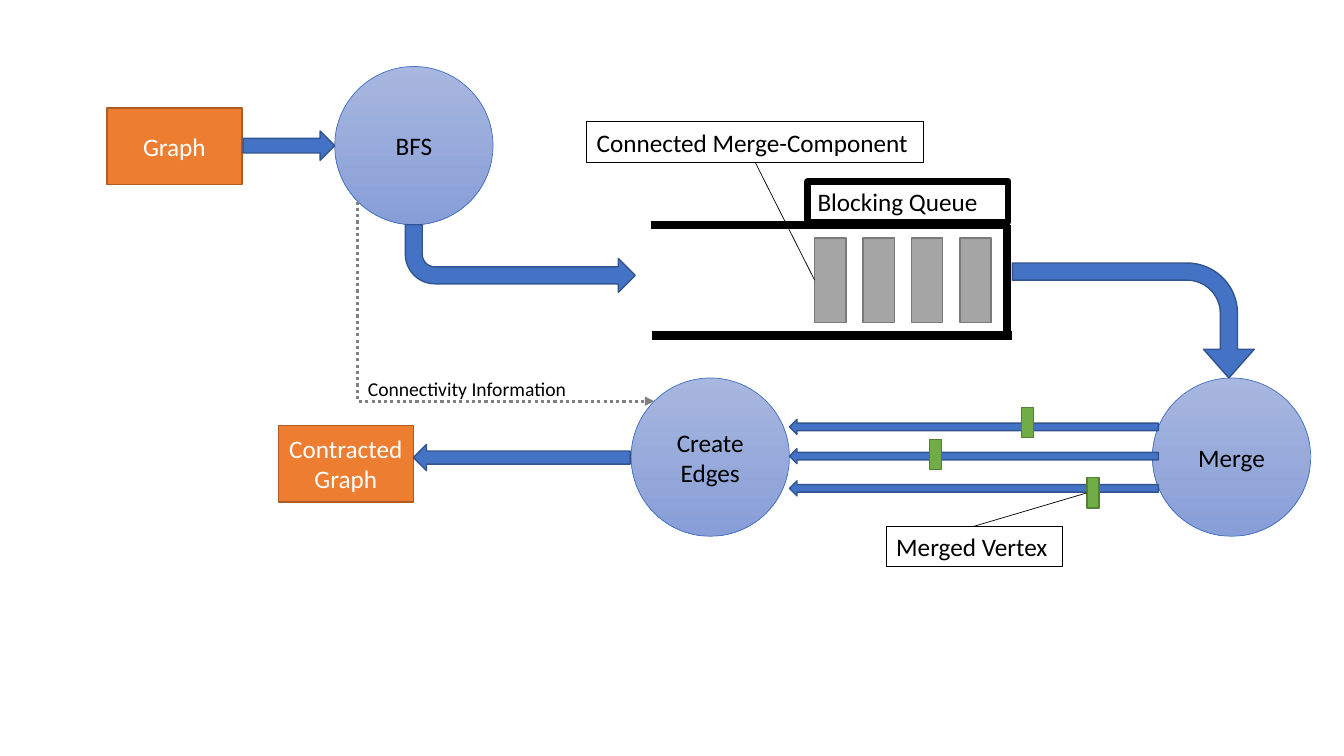
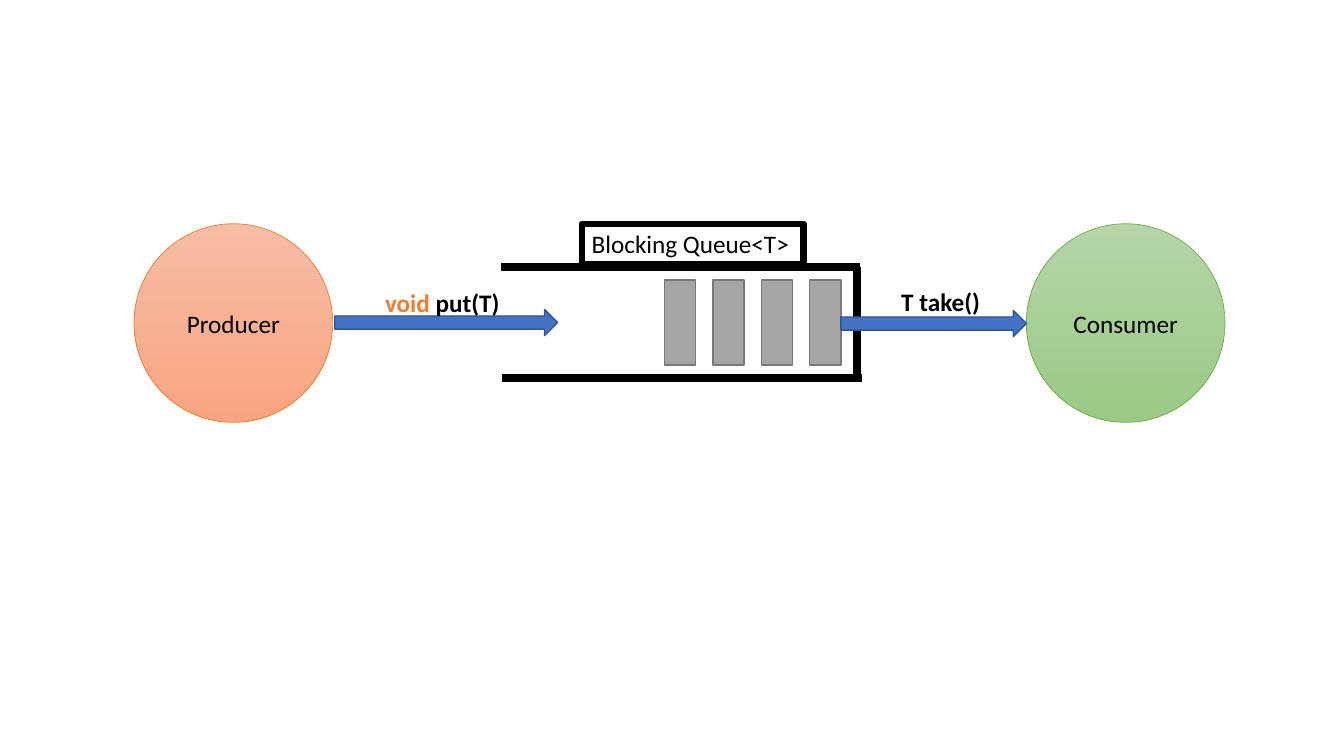
"""Draw the graph contraction pipeline and the blocking queue slides."""
from lxml.etree import SubElement
from pptx import Presentation
from pptx.dml.color import RGBColor
from pptx.enum.dml import MSO_LINE
from pptx.enum.shapes import MSO_CONNECTOR, MSO_SHAPE
from pptx.enum.text import MSO_ANCHOR, MSO_AUTO_SIZE, PP_ALIGN
from pptx.oxml.ns import qn
from pptx.util import Pt

PX = 9144
FONT = "Calibri"
COLORS = {
    "black": "000000", "white": "FFFFFF", "dots": "808080",
    "blue": "4472C4", "navy": "325491",
    "orange": "ED7D31", "rust": "AF5C24",
    "gray": "A5A5A5", "steel": "7A7A7A",
    "green": "70AD47", "moss": "538035",
    "blue top": "A8B7DF", "blue end": "889ED7",
    "orange top": "F7BDA5", "orange end": "F8A582",
    "green top": "B5D5A7", "green end": "9CC987",
}


def rgb(name):
    return RGBColor.from_string(COLORS[name])


def emu(*sizes):
    return [size * PX for size in sizes]


def style(font, color, size=18, bold=False):
    font.name, font.size, font.bold = FONT, Pt(size), bold
    font.color.rgb = rgb(color)


def border(line, color, width):
    line.color.rgb = rgb(color)
    line.width = Pt(width)


def block(shapes, kind, box, fill, edge, text="", color="white", width=1):
    shape = shapes.add_shape(kind, *emu(*box))
    shape.shadow.inherit = False
    if fill:
        shape.fill.solid()
        shape.fill.fore_color.rgb = rgb(fill)
    border(shape.line, edge, width)
    if text:
        frame = shape.text_frame
        frame.text = text
        frame.word_wrap = True
        frame.vertical_anchor = MSO_ANCHOR.MIDDLE
        for para in frame.paragraphs:
            para.alignment = PP_ALIGN.CENTER
            style(para.font, color)
    return shape


def circle(shapes, x, y, size, hue, text):
    box = (x, y, size, size)
    shape = block(shapes, MSO_SHAPE.OVAL, box, None, hue, text, "black", 0.5)
    shape.fill.gradient()
    shape.fill.gradient_angle = 270
    for stop, part in zip(shape.fill.gradient_stops, ("top", "end")):
        stop.color.rgb = rgb(f"{hue} {part}")


def arrow(shapes, box, kind=MSO_SHAPE.RIGHT_ARROW):
    return block(shapes, kind, box, "blue", "navy")


def label(shapes, box, text, edge=0, size=18, bold=False):
    shape = shapes.add_textbox(*emu(*box))
    if edge:
        border(shape.line, "black", edge)
    frame = shape.text_frame
    frame.word_wrap = True
    frame.auto_size = MSO_AUTO_SIZE.SHAPE_TO_FIT_TEXT
    para = frame.paragraphs[0]
    para.text = text
    style(para.font, "black", size, bold)
    return shape


def line(shapes, ends, color="black", width=0.5, kind=MSO_CONNECTOR.STRAIGHT):
    link = shapes.add_connector(kind, *emu(*ends))
    border(link.line, color, width)
    SubElement(link.element.spPr, qn("a:effectLst"))
    return link


def join(shapes, start, side, end, goal):
    link = line(shapes, (0, 0, 0, 0))
    link.begin_connect(start, side)
    link.end_connect(end, goal)


def elbow(shapes, ends):
    """Draw a dotted arrow that runs down first and then across."""
    link = line(shapes, ends, "dots", 2.25, MSO_CONNECTOR.ELBOW)
    link.line.dash_style = MSO_LINE.ROUND_DOT
    props = link.element.spPr
    SubElement(props.find(qn("a:ln")), qn("a:tailEnd"), type="triangle")
    guides = props.find(qn("a:prstGeom")).find(qn("a:avLst"))
    SubElement(guides, qn("a:gd"), name="adj1", fmla="val 0")


def queue(shapes, x, y, text, shift, width):
    """Draw the open queue with its items and return the first item."""
    rails = shapes.add_group_shape().shapes
    for ends in ((0, 0, 356, 0), (1, 110, 358, 110), (353, 110, 353, 0)):
        x1, y1, x2, y2 = ends
        line(rails, (x + x1, y + y1, x + x2, y + y2), width=6)
    items = [block(shapes, MSO_SHAPE.RECTANGLE,
                   (x + 162 + 48 * i, y + 13, 31, 84), "gray", "steel")
             for i in range(4)]
    label(shapes, (x + shift, y - 43, width, 40), text, 4.5)
    return items[0]


def pipeline(shapes):
    item = queue(shapes, 646, 223, "Blocking Queue", 155, 199)
    for x, y, text in ((332, 66, "BFS"), (1143, 375, "Merge"),
                       (626, 375, "Create\nEdges")):
        circle(shapes, x, y, 157, "blue", text)
    for x, y, text in ((106, 107, "Graph"), (276, 422, "Contracted Graph")):
        block(shapes, MSO_SHAPE.RECTANGLE, (x, y, 134, 76),
              "orange", "rust", text)

    entry = arrow(shapes, (402, 223, 228, 67), MSO_SHAPE.BENT_ARROW)
    entry.element.spPr.find(qn("a:xfrm")).set("flipV", "1")
    leave = arrow(shapes, (1067, 198, 114, 240), MSO_SHAPE.BENT_ARROW)
    leave.rotation = 90
    for i, value in enumerate((0.149, 0.221, 0.25, 0.438)):
        leave.adjustments[i] = value
    arrow(shapes, (241, 130, 91, 29))
    arrow(shapes, (410, 441, 215, 26), MSO_SHAPE.LEFT_ARROW)
    for y in (416, 445, 477):
        arrow(shapes, (783, y, 366, 15), MSO_SHAPE.LEFT_ARROW)
    for x, y in ((1013, 404), (922, 436), (1078, 474)):
        vertex = block(shapes, MSO_SHAPE.RECTANGLE, (x, y, 12, 30),
                       "green", "moss")

    part = label(shapes, (582, 121, 334, 40),
                 "Connected Merge-Component", 0.75)
    join(shapes, item, 1, part, 2)
    merged = label(shapes, (879, 522, 175, 40), "Merged Vertex", 0.75)
    join(shapes, vertex, 1, merged, 0)
    elbow(shapes, (355, 200, 649, 398))
    label(shapes, (355, 369, 286, 34), "Connectivity Information", size=14)


def exchange(shapes):
    queue(shapes, 497, 265, "Blocking Queue<T>", 80, 220)
    circle(shapes, 133, 222, 197, "orange", "Producer")
    circle(shapes, 1018, 222, 197, "green", "Consumer")
    arrow(shapes, (332, 307, 221, 26))
    arrow(shapes, (834, 308, 184, 26))
    put = label(shapes, (372, 280, 139, 40), "void", bold=True)
    para = put.text_frame.paragraphs[0]
    para.runs[0].font.color.rgb = rgb("orange")
    para.add_run().text = " put(T)"
    label(shapes, (884, 279, 99, 40), "T take()", bold=True)


def main():
    deck = Presentation()
    deck.slide_width, deck.slide_height = emu(1333, 750)
    for draw in (pipeline, exchange):
        draw(deck.slides.add_slide(deck.slide_layouts[6]).shapes)
    deck.save("out.pptx")


if __name__ == "__main__":
    main()
